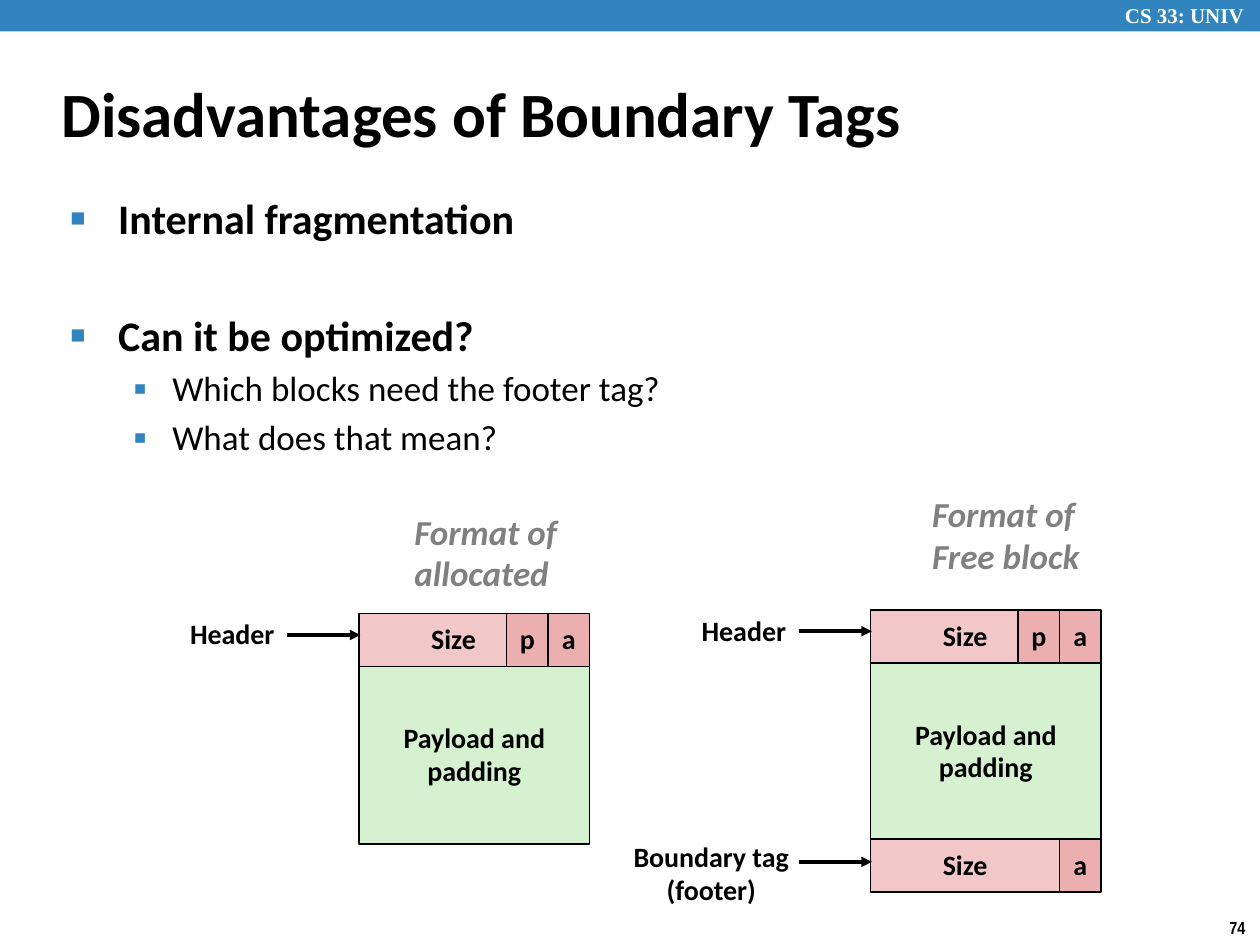
from lxml.etree import SubElement
from pptx import Presentation
from pptx.dml.color import RGBColor
from pptx.enum.shapes import MSO_CONNECTOR as Connector, MSO_SHAPE as Shape
from pptx.enum.text import MSO_ANCHOR as Anchor, PP_ALIGN as Align
from pptx.oxml.ns import qn
from pptx.util import Pt

EMU_PER_PX = 9144
BLACK = RGBColor(0x00, 0x00, 0x00)
WHITE = RGBColor(0xFF, 0xFF, 0xFF)
GRAY = RGBColor(0x80, 0x80, 0x80)
BLUE = RGBColor(0x32, 0x84, 0xBF)
PINK = RGBColor(0xF1, 0xC7, 0xC7)
ROSE = RGBColor(0xEB, 0xAF, 0xAF)
GREEN = RGBColor(0xD5, 0xF1, 0xCF)

ROW_HEIGHT = 42
SIZE_WIDTH = 150
FLAG_WIDTH = 33
PAYLOAD_HEIGHT = 141
BLOCK_WIDTH = SIZE_WIDTH + FLAG_WIDTH


def px(*lengths):
    """Turn px lengths into EMU."""
    return [length * EMU_PER_PX for length in lengths]


def write_text(shape, text, size=16, font="Calibri", color=BLACK, bold=True,
               italic=False, align=Align.LEFT, anchor=Anchor.TOP,
               wrap=False, spacing=0.98):
    """Fill a shape with one formatted paragraph per line of text."""
    frame = shape.text_frame
    frame.word_wrap = wrap
    frame.vertical_anchor = anchor
    frame.text = text
    for paragraph in frame.paragraphs:
        paragraph.alignment = align
        paragraph.line_spacing = spacing
        style = paragraph.runs[0].font
        style.size, style.name = Pt(size), font
        style.bold, style.italic = bold, italic
        style.color.rgb = color


def add_label(slide, box, text, **style):
    """Add a text box and return it."""
    label = slide.shapes.add_textbox(*px(*box))
    write_text(label, text, **style)
    return label


def add_box(slide, box, fill, text="", outlined=True):
    """Add a filled rectangle with centred text."""
    shape = slide.shapes.add_shape(Shape.RECTANGLE, *px(*box))
    shape.shadow.inherit = False
    shape.fill.solid()
    shape.fill.fore_color.rgb = fill
    if outlined:
        shape.line.color.rgb = BLACK
        shape.line.width = Pt(1)
    else:
        shape.line.fill.background()
    if text:
        write_text(shape, text, align=Align.CENTER, anchor=Anchor.MIDDLE)


def add_arrow(slide, block_left, y):
    """Add an arrow that points at the left edge of a block."""
    arrow = slide.shapes.add_connector(
        Connector.STRAIGHT, *px(block_left - 57, y, block_left + 1, y))
    arrow.line.color.rgb = BLACK
    arrow.line.width = Pt(2)
    SubElement(arrow.line._get_or_add_ln(), qn("a:tailEnd"), type="triangle")
    SubElement(arrow._element.spPr, qn("a:effectLst"))


def add_bullet(paragraph, symbol, percent, margin, indent, before):
    """Give a paragraph a blue bullet, a hanging indent and space before."""
    paragraph.space_before = Pt(before)
    properties = paragraph._p.get_or_add_pPr()
    left, hanging = px(margin, indent)
    properties.set("marL", str(left))
    properties.set("indent", str(-hanging))
    color = SubElement(properties, qn("a:buClr"))
    SubElement(color, qn("a:srgbClr"), val=str(BLUE))
    SubElement(properties, qn("a:buSzPct"), val=str(percent * 1000))
    SubElement(properties, qn("a:buFont"), typeface="Arial")
    SubElement(properties, qn("a:buChar"), char=symbol)


def add_body(slide):
    """Add the two-level bullet list."""
    items = [("Internal fragmentation", 0, 0), ("Can it be optimized?", 0, 38),
             ("Which blocks need the footer tag?", 1, 4),
             ("What does that mean?", 1, 4)]
    levels = [("■", 60, 38, 38), ("▪", 110, 81, 31)]
    body = add_label(slide, (46, 148, 864, 544),
                     "\n".join(text for text, _, _ in items),
                     size=24, wrap=True, spacing=1.0)
    for paragraph, (_, level, before) in zip(body.text_frame.paragraphs, items):
        paragraph.level = level
        add_bullet(paragraph, *levels[level], before)
        if level:
            paragraph.runs[0].font.size = Pt(20)
            paragraph.runs[0].font.bold = False


def add_tag_row(slide, left, top, has_previous):
    """Add a row with the size, the a flag and, if asked, the p flag."""
    flag_left = left + SIZE_WIDTH
    add_box(slide, (left, top, SIZE_WIDTH, ROW_HEIGHT), PINK, "Size")
    add_box(slide, (flag_left, top, FLAG_WIDTH, ROW_HEIGHT), ROSE, "a")
    if has_previous:
        add_box(slide, (flag_left - FLAG_WIDTH, top, FLAG_WIDTH, ROW_HEIGHT),
                ROSE, "p")


def add_block(slide, left, top, has_footer=False):
    """Add a memory block with its header, payload and optional footer."""
    payload_top = top + ROW_HEIGHT
    add_box(slide, (left, payload_top, BLOCK_WIDTH, PAYLOAD_HEIGHT), GREEN,
            "Payload and\npadding")
    add_tag_row(slide, left, top, has_previous=True)
    add_label(slide, (left - 144, top - 1, 88, 37), "Header")
    add_arrow(slide, left, top + 17)
    if has_footer:
        footer_top = payload_top + PAYLOAD_HEIGHT - 1
        add_tag_row(slide, left, footer_top, has_previous=False)
        add_label(slide, (left - 199, footer_top - 3, 145, 63),
                  "Boundary tag\n(footer)", align=Align.CENTER)
        add_arrow(slide, left, footer_top + 18)


def main():
    """Build and save the slide."""
    presentation = Presentation()
    presentation.slide_width, presentation.slide_height = px(1000, 750)
    slide = presentation.slides.add_slide(presentation.slide_layouts[6])
    add_box(slide, (0, 0, 1000, 25), BLUE, outlined=False)
    add_label(slide, (883, -3, 124, 30), "CS 33: UNIV", size=12,
              font="Times New Roman", color=WHITE, spacing=1.0)
    add_label(slide, (966, 723, 34, 27), "74", size=10,
              font="Arial Narrow", spacing=1.0)
    add_label(slide, (39, 48, 830, 83), "Disadvantages of Boundary Tags",
              size=36, anchor=Anchor.MIDDLE, wrap=True, spacing=1.0)
    add_body(slide)
    caption = {"size": 20, "color": GRAY, "italic": True}
    add_label(slide, (319, 402, 134, 76), "Format of\nallocated", **caption)
    add_label(slide, (730, 388, 138, 76), "Format of\nFree block", **caption)
    add_block(slide, 285, 487)
    add_block(slide, 691, 484, has_footer=True)
    presentation.save("out.pptx")


if __name__ == "__main__":
    main()
